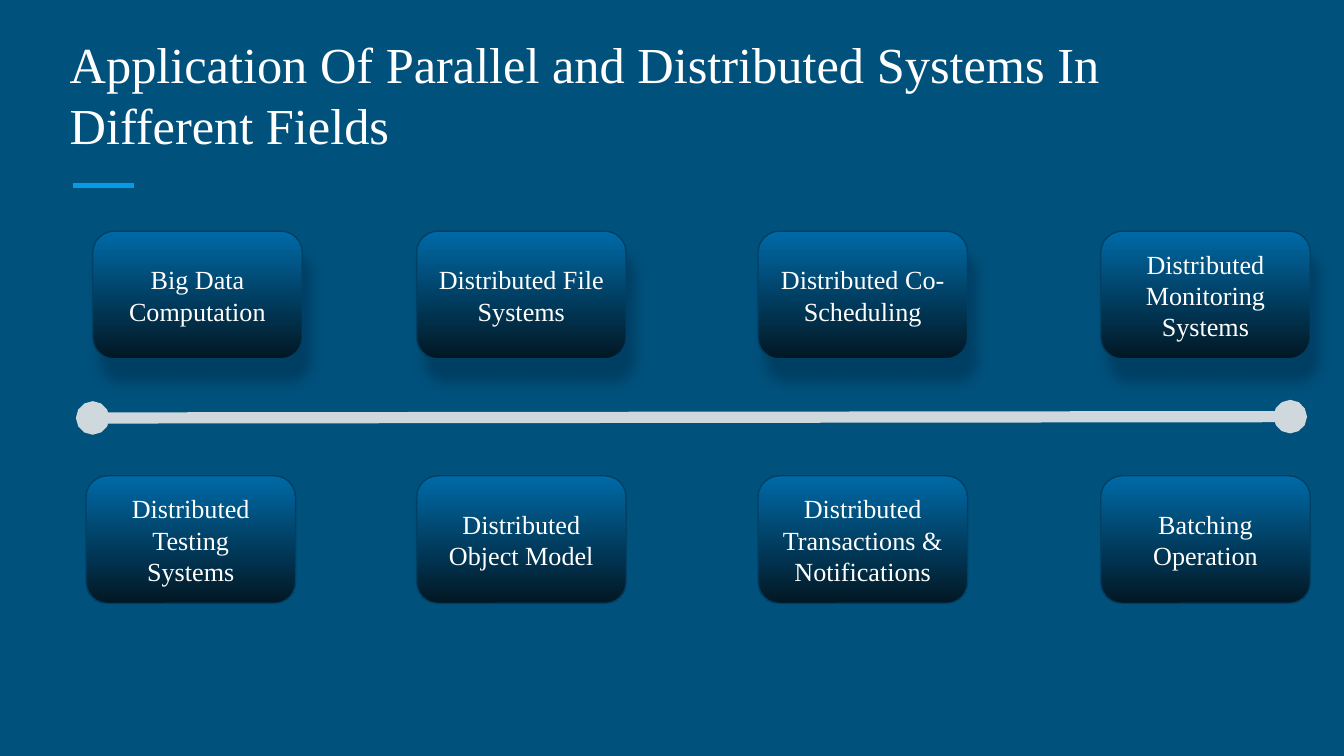
from lxml import etree
from pptx import Presentation, util as u
from pptx.dml.color import RGBColor
from pptx.enum import shapes, text
from pptx.oxml.ns import qn

C = {"bg": "00517C", "accent": "039BE5", "text": "FFFFFF", "top": "006AA7",
     "bottom": "021723", "edge": "004065", "axis": "CFD8DC"}
FONT = "Times New Roman"
COLS = [0.69, 3.1, 5.64, 8.19]
ROWS = [1.72, 3.54]
CARD_W, CARD_H = 1.56, 0.95
FIELDS = [
    ["Big Data Computation", "Distributed File Systems",
     "Distributed Co-Scheduling", "Distributed Monitoring Systems"],
    ["Distributed Testing Systems", "Distributed Object Model",
     "Distributed Transactions & Notifications", "Batching Operation"],
]

prs = Presentation()
prs.slide_width = u.Inches(10)
prs.slide_height = prs.slide_width * 9 // 16
s = prs.slides.add_slide(prs.slide_layouts[6])
s.background.fill.solid()
s.background.fill.fore_color.rgb = RGBColor.from_string(C["bg"])


def write(sp, words, size, anchor, align, side):
    tf = sp.text_frame
    tf.word_wrap = True
    tf.vertical_anchor = anchor
    tf.margin_left = tf.margin_right = u.Inches(side)
    tf.margin_top = tf.margin_bottom = u.Inches(0.1)
    p = tf.paragraphs[0]
    p.alignment = align
    r = p.add_run()
    r.text = words
    r.font.name, r.font.size = FONT, u.Pt(size)
    r.font.color.rgb = RGBColor.from_string(C["text"])


def rule(x1, y1, x2, y2, color, width):
    ln = s.shapes.add_connector(shapes.MSO_CONNECTOR.STRAIGHT, *map(u.Inches, (x1, y1, x2, y2)))
    ln.line.color.rgb = RGBColor.from_string(color)
    ln.line.width = u.Pt(width)
    etree.SubElement(ln._element.spPr, qn("a:effectLst"))
    return ln


rule(0.54, 1.38, 1, 1.38, C["accent"], 3)
title = s.shapes.add_textbox(*map(u.Inches, (0.42, 0.5, 9.15, 0.75)))
write(title, "Application Of Parallel and Distributed Systems In Different Fields", 27,
      text.MSO_ANCHOR.BOTTOM, text.PP_ALIGN.LEFT, 0.1)

for row, (y, names) in enumerate(zip(ROWS, FIELDS)):
    for col, (x, name) in enumerate(zip(COLS, names)):
        left = x - 0.05 if (row, col) == (1, 0) else x
        sp = s.shapes.add_shape(shapes.MSO_SHAPE.ROUNDED_RECTANGLE,
                                *map(u.Inches, (left, y, CARD_W, CARD_H)))
        sp.shadow.inherit = False
        sp.fill.gradient()
        sp.fill.gradient_angle = 270
        for stop, pos, color in zip(sp.fill.gradient_stops, (0, 1), (C["top"], C["bottom"])):
            stop.position = pos
            stop.color.rgb = RGBColor.from_string(color)
        sp.line.color.rgb = RGBColor.from_string(C["edge"])
        sp.line.width = u.Pt(0.75)
        if row == 0:
            effects = sp._element.spPr.find(qn("a:effectLst"))
            shadow = etree.SubElement(effects, qn("a:outerShdw"), blurRad=str(u.Pt(6.8)),
                                      dist=str(u.Pt(12.8)), dir=str(70 * 60000),
                                      algn="bl", rotWithShape="0")
            etree.SubElement(shadow, qn("a:srgbClr"), val=C["edge"])
        write(sp, name, 14, text.MSO_ANCHOR.MIDDLE, text.PP_ALIGN.CENTER, 0.11)

axis = rule(0.69, 3.11, 9.6, 3.1, C["axis"], 6)
for end in ("a:headEnd", "a:tailEnd"):
    etree.SubElement(axis.line._get_or_add_ln(), qn(end), type="oval", w="med", len="med")

prs.save("out.pptx")
